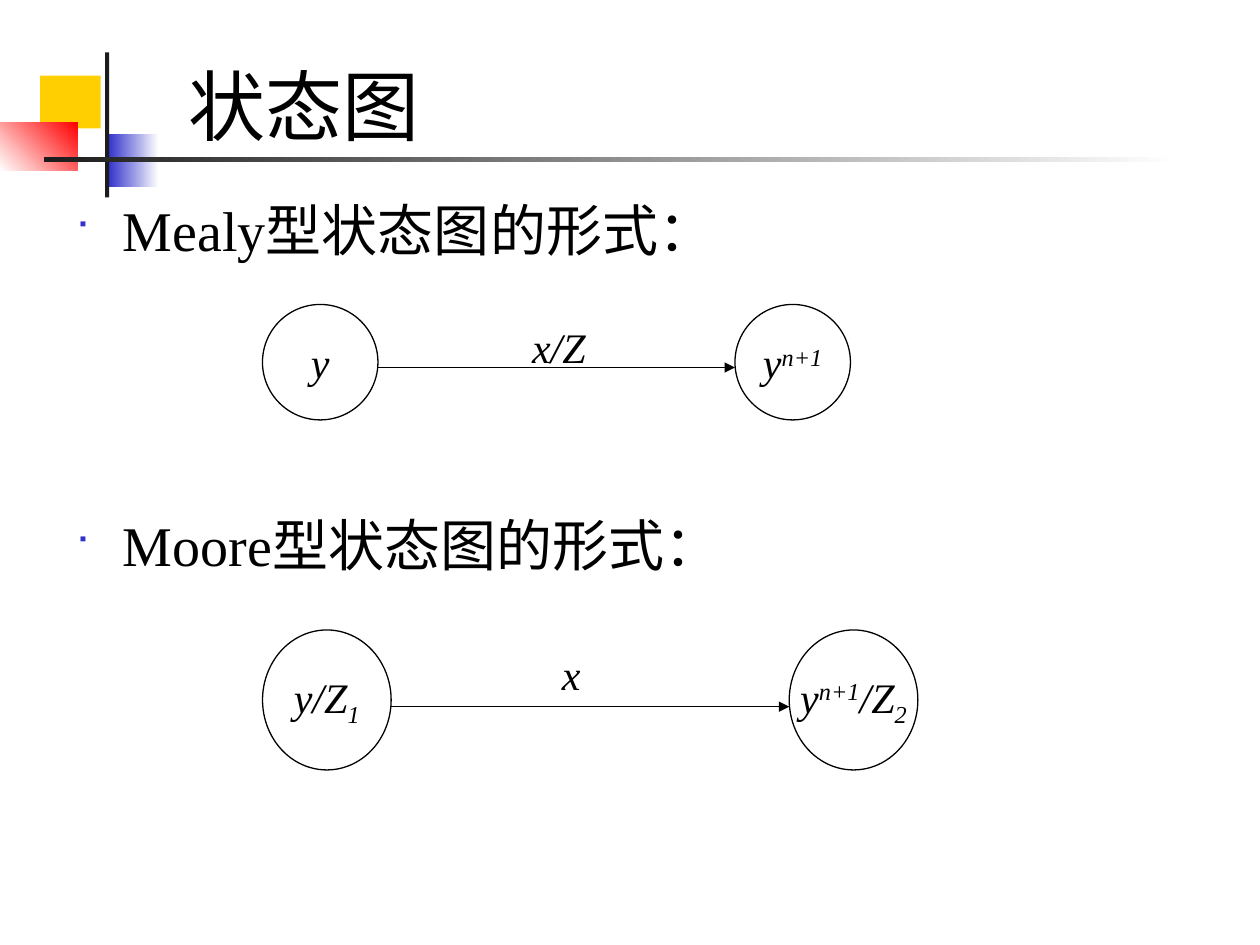
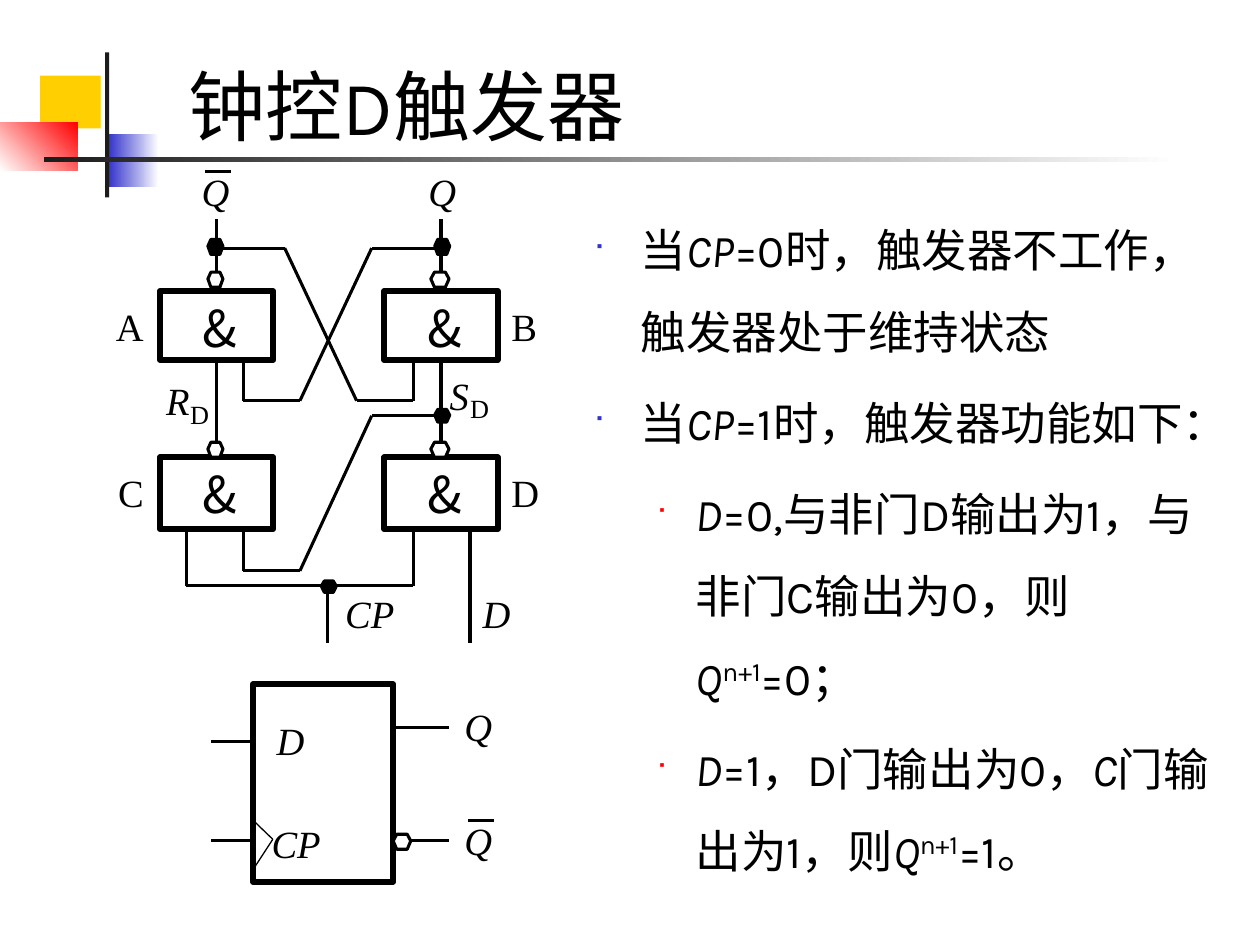
from itertools import pairwise

from lxml.etree import SubElement
from pptx import Presentation
from pptx.dml.color import RGBColor
from pptx.enum.shapes import MSO_CONNECTOR, MSO_SHAPE
from pptx.enum.text import MSO_ANCHOR, MSO_AUTO_SIZE, PP_ALIGN
from pptx.oxml.ns import qn
from pptx.util import Pt

BLACK = RGBColor(0x00, 0x00, 0x00)
WHITE = RGBColor(0xFF, 0xFF, 0xFF)
INK = RGBColor(0x1C, 0x1C, 0x1C)
YELLOW = RGBColor(0xFF, 0xCF, 0x01)
BLUE = RGBColor(0x33, 0x33, 0xCC)
RED = RGBColor(0xFF, 0x00, 0x00)

SANS, CJK, SERIF = "Karla", "Noto Sans CJK SC", "Times New Roman"
ITALIC = dict(italic=True)
SUP = dict(base=30)
ITALIC_SUP = dict(italic=True, base=30)
ITALIC_SUB = dict(italic=True, base=-25)
THIN, WIRE, FRAME = 0.75, 1.75, 3.38


def write(p, text, size=24, font=SERIF, italic=False, base=0):
    """Add one formatted run to a paragraph."""
    r = p.add_run()
    r.text = text
    r.font.size = Pt(size)
    r.font.italic = italic
    r.font.color.rgb = BLACK
    r.font.name = font
    rPr = r._r.get_or_add_rPr()
    SubElement(rPr, qn("a:ea")).set("typeface", SANS)
    if base:
        rPr.set("baseline", str(base * 1000))


def write_runs(p, runs, **fmt):
    for text, extra in runs:
        write(p, text, **{**fmt, **extra})


def add_bullet(p, color, percent, left, hang):
    pPr = p._p.get_or_add_pPr()
    pPr.set("marL", str(Pt(left)))
    pPr.set("indent", str(-Pt(hang)))
    clr = SubElement(pPr, qn("a:buClr"))
    SubElement(clr, qn("a:srgbClr")).set("val", str(color))
    SubElement(pPr, qn("a:buSzPct")).set("val", str(percent * 1000))
    SubElement(pPr, qn("a:buFont")).set("typeface", "Wingdings")
    SubElement(pPr, qn("a:buChar")).set("char", "■")


def style(sp, fill=None, line=None, width=THIN):
    sp.shadow.inherit = False
    if fill is None:
        sp.fill.background()
    else:
        sp.fill.solid()
        sp.fill.fore_color.rgb = fill
    if line is None:
        sp.line.fill.background()
    else:
        sp.line.color.rgb = line
        sp.line.width = Pt(width)
    return sp


def add_box(s, kind, x, y, w, h, **look):
    return style(s.shapes.add_shape(kind, Pt(x), Pt(y), Pt(w), Pt(h)), **look)


def add_text(s, x, y, w, h, wrap=False, inset=True):
    tf = s.shapes.add_textbox(Pt(x), Pt(y), Pt(w), Pt(h)).text_frame
    tf.word_wrap = wrap
    if not wrap:
        tf.auto_size = MSO_AUTO_SIZE.SHAPE_TO_FIT_TEXT
    if not inset:
        tf.margin_left = tf.margin_right = tf.margin_top = tf.margin_bottom = 0
    return tf


def add_line(s, start, end, width=WIRE, arrow=False):
    c = s.shapes.add_connector(MSO_CONNECTOR.STRAIGHT, *map(Pt, start + end))
    c.line.color.rgb = BLACK
    c.line.width = Pt(width)
    if arrow:
        SubElement(c.line._get_or_add_ln(), qn("a:tailEnd")).set("type", "triangle")
    SubElement(c._element.spPr, qn("a:effectLst"))
    return c


def add_wire(s, x, y, *points, width=WIRE):
    """Join points, given relative to (x, y), by straight lines."""
    for (x1, y1), (x2, y2) in pairwise(points):
        add_line(s, (x + x1, y + y1), (x + x2, y + y2), width)


def add_hexagon(s, x, y, w, h, fill):
    outline = [(0, 0.45), (0.2, 0), (0.8, 0), (1, 0.45), (0.8, 1), (0.2, 1)]
    points = [(Pt(x + w * u), Pt(y + h * v)) for u, v in outline]
    fb = s.shapes.build_freeform(*points[0], scale=1.0)
    fb.add_line_segments(points[1:], close=True)
    style(fb.convert_to_shape(), fill=fill, line=BLACK, width=WIRE)


def add_label(s, x, y, text, size=22, font=SERIF, italic=True, bar=False):
    tf = add_text(s, x, y, size * 0.75 * len(text), size * 1.2, inset=False)
    write(tf.paragraphs[0], text, size, font, italic)
    if bar:
        add_wire(s, x, y, (2, 2), (17, 2))


# Shared slide frame
def add_decor(s):
    def gradient_rect(x, y, w, h, first, last, angle):
        sp = add_box(s, MSO_SHAPE.RECTANGLE, x, y, w, h)
        sp.fill.gradient()
        sp.fill.gradient_angle = angle
        for stop, color in zip(sp.fill.gradient_stops, (first, last)):
            stop.color.rgb = color

    add_box(s, MSO_SHAPE.RECTANGLE, 23, 43.2, 34.5, 30.2, fill=YELLOW)
    gradient_rect(62, 76.5, 28.8, 30.2, BLUE, WHITE, 0)
    gradient_rect(0, 69.8, 44.2, 27.4, WHITE, RED, 45)
    add_box(s, MSO_SHAPE.RECTANGLE, 60, 30, 2.4, 82.8, fill=INK)
    gradient_rect(25.2, 89.8, 648, 2.6, INK, WHITE, 0)


def new_slide(prs, title, font):
    s = prs.slides.add_slide(prs.slide_layouts[5])
    add_decor(s)
    sp = s.shapes.title
    sp.left, sp.top, sp.width, sp.height = map(Pt, (100.4, 41.8, 613.4, 48.2))
    tf = sp.text_frame
    tf.auto_size = MSO_AUTO_SIZE.NONE
    tf.vertical_anchor = MSO_ANCHOR.BOTTOM
    p = tf.paragraphs[0]
    p.alignment = PP_ALIGN.LEFT
    write(p, title, 44, font)
    return s


# State diagrams
def add_transition(s, x, y, w, h, span, drop, states, label, label_at):
    """Two states of size w by h, span apart, with an arrow drop below the top."""
    add_line(s, (x + w, y + drop), (x + span, y + drop), THIN, arrow=True)
    for left, runs in zip((x, x + span), states):
        tf = add_box(s, MSO_SHAPE.OVAL, left, y, w, h, line=BLACK).text_frame
        tf.word_wrap = False
        tf.vertical_anchor = MSO_ANCHOR.MIDDLE
        p = tf.paragraphs[0]
        p.alignment = PP_ALIGN.CENTER
        write_runs(p, runs)
    dx, dy, lw, lh = label_at
    tf = add_text(s, x + dx, y + dy, lw, lh)
    write(tf.paragraphs[0], label, italic=True)


def state_slide(prs):
    s = new_slide(prs, "状态图", CJK)
    tf = add_text(s, 36, 108, 660, 384, wrap=True)
    for i, name in enumerate(("Mealy", "Moore")):
        p = tf.add_paragraph() if i else tf.paragraphs[0]
        add_bullet(p, BLUE, 60, 27, 27)
        p.alignment = PP_ALIGN.JUSTIFY
        p.space_before = Pt(141.5 * i)
        write(p, f"{name}型状态图的形式：", 32)

    y, nxt = ("y", ITALIC), ("n+1", ITALIC_SUP)
    add_transition(s, 150, 174, 66, 66, 270, 36, [[y], [y, nxt]],
                   "x/Z", (147, 6, 45, 36))
    out = ("/Z", ITALIC)
    add_transition(s, 150, 360, 73.5, 80, 301, 43.8,
                   [[y, out, ("1", ITALIC_SUB)], [y, nxt, out, ("2", ITALIC_SUB)]],
                   "x", (164, 7, 28, 44))


# Gate circuit of the flip-flop
def add_circuit(s, x, y):
    left, right, top, low = 25.4, 153.6, 70.3, 165.4
    gates = {}
    for name, gx, gy, gh, tx in (("A", left, top, 39.4, 0.2), ("B", right, top, 39.4, 226.3),
                                 ("C", left, low, 41, 1.5), ("D", right, low, 41, 226.3)):
        gates[name] = add_box(s, MSO_SHAPE.RECTANGLE, x + gx, y + gy, 64.8, gh,
                              fill=WHITE, line=BLACK, width=FRAME)
        add_label(s, x + gx + 24.5, y + gy + 3.2, "&", 29, CJK, italic=False)
        add_label(s, x + tx, y + gy + 6.8, name, italic=False)

    # Wires between the gates
    for upper, lower in ("AC", "BD"):
        c = add_line(s, (x, y), (x, y))
        c.begin_connect(gates[upper], 2)
        c.end_connect(gates[lower], 0)
    a_out, b_out = 57.8, 186
    for points in (
        [(a_out, 29.3), (a_out, 61.7)],
        [(b_out, 29.3), (b_out, 61.7)],
        [(a_out, 45.8), (96.7, 45.8), (137.8, 133), (170.2, 133), (170.2, 109.5)],
        [(b_out, 45.8), (146.4, 45.8), (105.4, 133), (73, 133), (73, 109.5)],
        [(b_out, 141.6), (146.4, 141.6), (105.4, 230.2), (73, 230.2), (73, 206.4)],
        [(40.5, 206.4), (40.5, 238.8), (170.2, 238.8), (170.2, 206.4)],
        [(121.2, 238.8), (121.2, 271.2)],
        [(202.6, 206.4), (202.6, 271.2)],
    ):
        add_wire(s, x, y, *points)

    # Inverting bubbles and junction dots
    for by in (59.5, 156.7):
        add_hexagon(s, x + 52.8, y + by, 8.6, 8.6, WHITE)
        add_hexagon(s, x + 180.2, y + by, 10.4, 8.6, WHITE)
    for dx, dy, dh in ((52.8, 40.8, 8.6), (182.4, 40.8, 8.6),
                       (182.4, 138, 7.2), (117.6, 236, 6.5)):
        add_hexagon(s, x + dx, y + dy, 8.6, dh, BLACK)

    # Signal names
    add_label(s, x + 49.2, y, "Q", bar=True)
    add_label(s, x + 178.8, y, "Q")
    for dx, dy, name, gap in ((29, 119.3, "R", 13.7), (191, 116.4, "S", 11.7)):
        add_label(s, x + dx, y + dy, name)
        add_label(s, x + dx + gap, y + dy + 12, "D", 15, italic=False)
    add_label(s, x + 131.3, y + 241, "CP")
    add_label(s, x + 209.8, y + 241, "D")


# Logic symbol of the flip-flop
def add_symbol(s, x, y):
    add_box(s, MSO_SHAPE.RECTANGLE, x + 24, y, 80, 113,
            fill=WHITE, line=BLACK, width=FRAME)
    for x1, x2, wy in ((0, 24, 33), (0, 24, 89.3), (104, 136, 24.5), (104, 136, 89.3)):
        add_wire(s, x, y, (x1, wy), (x2, wy))
    add_hexagon(s, x + 104, y + 85.7, 10, 8.6, WHITE)
    add_wire(s, x, y, (24, 77.8), (35.2, 88.6), (24, 105.8), width=THIN)
    add_label(s, x + 37.4, y + 18.7, "D")
    add_label(s, x + 34.5, y + 77.7, "CP")
    add_label(s, x + 144.7, y + 10.8, "Q")
    add_label(s, x + 144.7, y + 75.6, "Q", bar=True)


def add_behaviour(s, x, y, w, h):
    plain, q_next = {}, [("Q", ITALIC), ("n+1", SUP)]
    top, sub = (BLUE, 60, 27, 27), (RED, 55, 58.5, 22.5)
    items = [
        (top, [("当", plain), ("CP", ITALIC), ("=0时，触发器不工作，触发器处于维持状态", plain)]),
        (top, [("当", plain), ("CP", ITALIC), ("=1时，触发器功能如下：", plain)]),
        (sub, [("D", ITALIC), ("=0,与非门D输出为1，与非门C输出为0，则", plain),
               *q_next, ("=0；", plain)]),
        (sub, [("D", ITALIC), ("=1，D门输出为0，", plain), ("C", ITALIC),
               ("门输出为1，则", plain), *q_next, ("=1。", plain)]),
    ]
    tf = add_text(s, x, y, w, h, wrap=True)
    for i, (bullet, runs) in enumerate(items):
        p = tf.add_paragraph() if i else tf.paragraphs[0]
        add_bullet(p, *bullet)
        p.line_spacing = 1.5
        p.space_before = Pt(5.2 if i else 0)
        write_runs(p, runs, size=26, font=SANS)


def flip_flop_slide(prs):
    s = new_slide(prs, "钟控D触发器", SANS)
    add_behaviour(s, 332, 108, 374.4, 384)
    add_circuit(s, 66, 96)
    add_symbol(s, 120.7, 391)


def main():
    prs = Presentation()
    prs.slide_width, prs.slide_height = Pt(720), Pt(540)
    state_slide(prs)
    flip_flop_slide(prs)
    prs.save("out.pptx")


if __name__ == "__main__":
    main()
